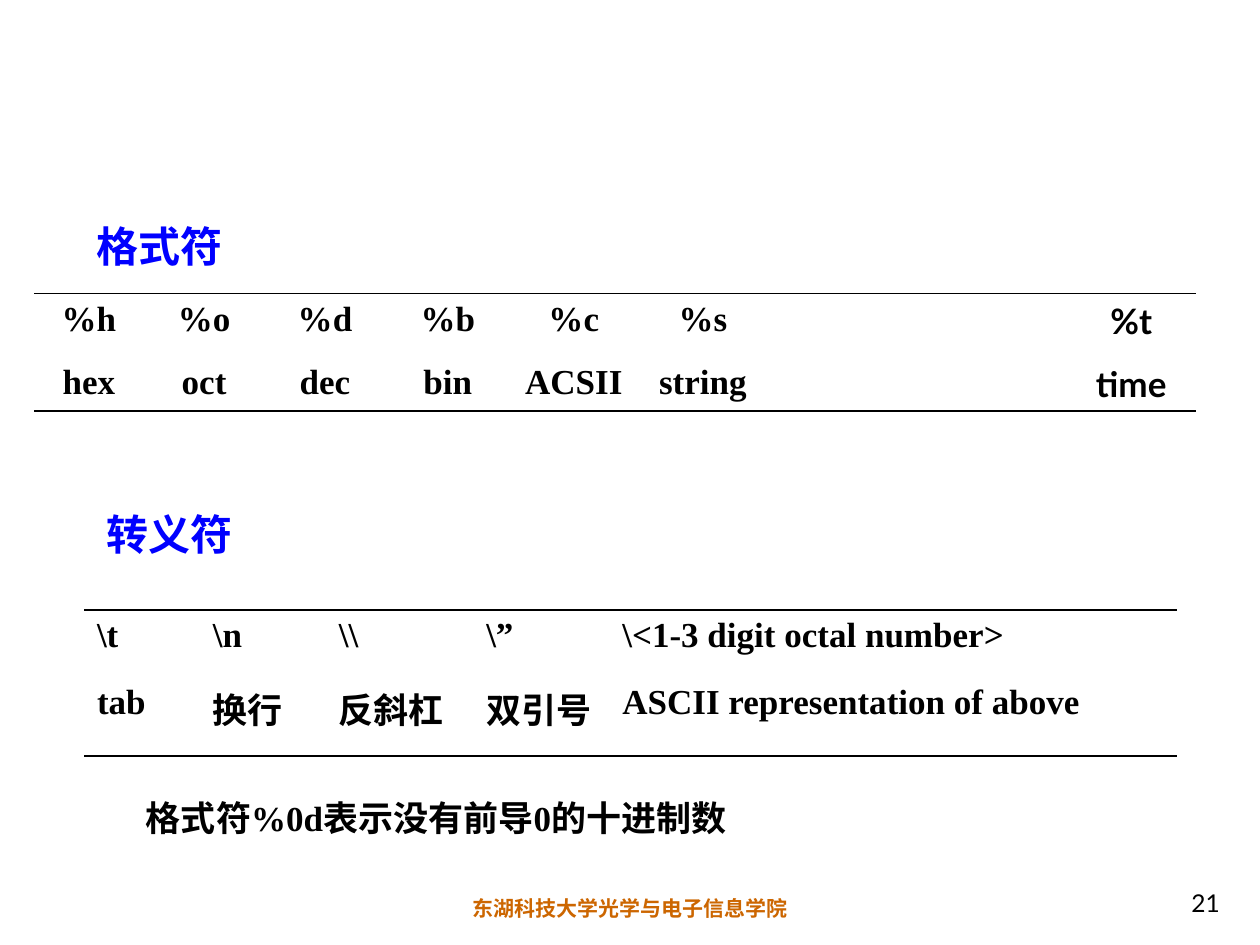
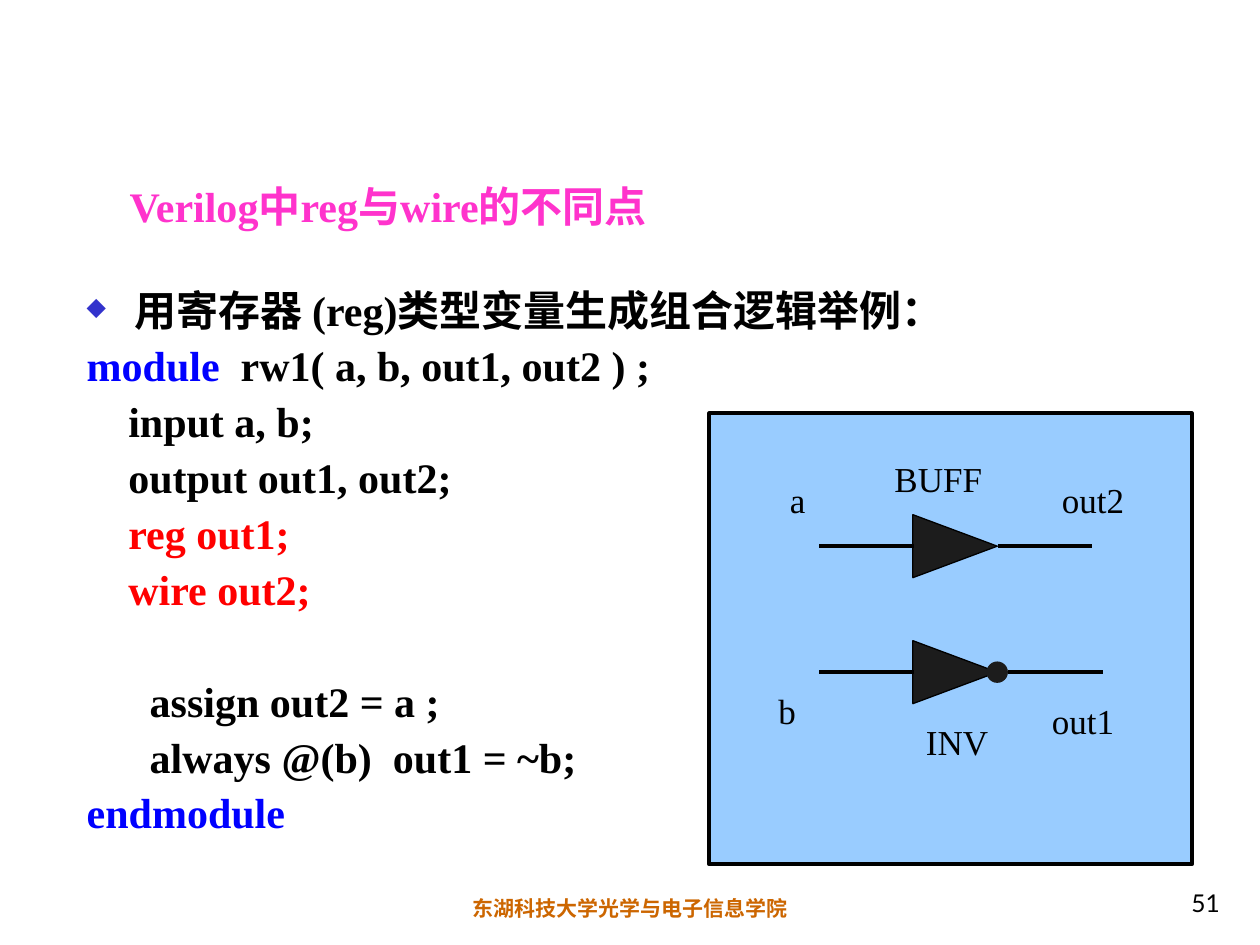
from lxml import etree
from pptx import Presentation
from pptx.dml.color import RGBColor
from pptx.enum.shapes import MSO_CONNECTOR, MSO_SHAPE
from pptx.enum.text import MSO_ANCHOR, PP_ALIGN
from pptx.oxml.ns import qn
from pptx.util import Inches, Pt

LEFT, CENTER, RIGHT = PP_ALIGN.LEFT, PP_ALIGN.CENTER, PP_ALIGN.RIGHT
TOP, BOTTOM = MSO_ANCHOR.TOP, MSO_ANCHOR.BOTTOM
RECTANGLE, OVAL = MSO_SHAPE.RECTANGLE, MSO_SHAPE.OVAL
TRIANGLE = MSO_SHAPE.ISOSCELES_TRIANGLE
STRAIGHT = MSO_CONNECTOR.STRAIGHT

# Shared look
SERIF, SANS = "Times New Roman", "Lato"
BLACK, BLUE, RED, PINK = "000000", "0000FF", "FF0000", "FF33CC"
ORANGE, BULLET_BLUE = "CC6600", "3333CC"
PANEL_BLUE, GATE_GREY = "99CCFF", "1C1C1C"
FOOTER = "东湖科技大学光学与电子信息学院"
PLAIN_TABLE = "{2D5ABB26-0587-4C30-8999-92F81FD0307C}"


def color(hex_text):
    return RGBColor.from_string(hex_text)


# Text
def add_span(para, text, size, hue=BLACK, font=SERIF, bold=True):
    span = para.add_run()
    span.text = text
    span.font.size = Pt(size)
    span.font.name = font
    span.font.bold = bold
    span.font.color.rgb = color(hue)


def add_box(page, left, top, width, height, anchor=TOP):
    box = page.shapes.add_textbox(Inches(left), Inches(top), Inches(width), Inches(height))
    box.text_frame.word_wrap = True
    box.text_frame.vertical_anchor = anchor
    return box.text_frame


def add_text(page, text, place, size, hue=BLACK, font=SERIF, bold=True,
             align=LEFT, anchor=TOP, before=0):
    para = add_box(page, *place, anchor=anchor).paragraphs[0]
    para.alignment = align
    para.space_before = Pt(before)
    add_span(para, text, size, hue, font, bold)


def set_indent(para, margin, first=0):
    properties = para._p.get_or_add_pPr()
    properties.set("marL", str(Inches(margin)))
    properties.set("indent", str(Inches(first)))
    return properties


def add_diamond_bullet(para):
    properties = set_indent(para, 0.38, -0.38)
    bullet_color = etree.SubElement(properties, qn("a:buClr"))
    etree.SubElement(bullet_color, qn("a:srgbClr"), val=BULLET_BLUE)
    etree.SubElement(properties, qn("a:buSzPct"), val="60000")
    etree.SubElement(properties, qn("a:buChar"), char="◆")


def add_page(deck, number):
    page = deck.slides.add_slide(deck.slide_layouts[6])
    add_text(page, FOOTER, (0, 7.06, 10, 0.3), 12, ORANGE, align=CENTER, before=7.5)
    add_text(page, str(number), (7.7, 6.83, 2.08, 0.5), 14, font=SANS, bold=False,
             align=RIGHT, anchor=BOTTOM)
    return page


# Tables
def add_rule(cell, side):
    line = etree.Element(qn(f"a:{side}"), w=str(Pt(1.08)))
    fill = etree.SubElement(line, qn("a:solidFill"))
    etree.SubElement(fill, qn("a:srgbClr"), val=BLACK)
    cell._tc.get_or_add_tcPr().insert(0, line)


def add_symbol_table(page, left, top, widths, heights, rows, align, sans_column=None):
    frame = page.shapes.add_table(len(rows), len(widths), Inches(left), Inches(top),
                                  Inches(sum(widths)), Inches(sum(heights)))
    table = frame.table
    table.first_row = table.horz_banding = False
    table._tbl.tblPr.find(qn("a:tableStyleId")).text = PLAIN_TABLE
    for column, width in zip(table.columns, widths):
        column.width = Inches(width)
    for row_index, (texts, height) in enumerate(zip(rows, heights)):
        table.rows[row_index].height = Inches(height)
        for column_index, text in enumerate(texts):
            cell = table.cell(row_index, column_index)
            cell.fill.background()
            add_rule(cell, "lnB" if row_index else "lnT")
            if text:
                para = cell.text_frame.paragraphs[0]
                para.alignment = align
                para.space_before = Pt(5)
                font = SANS if column_index == sans_column else SERIF
                add_span(para, text, 20, font=font)


# Circuit parts
def add_figure(page, kind, place, fill, line_width=0):
    figure = page.shapes.add_shape(kind, *map(Inches, place))
    figure.shadow.inherit = False
    figure.fill.solid()
    figure.fill.fore_color.rgb = color(fill)
    if line_width:
        figure.line.color.rgb = color(BLACK)
        figure.line.width = Pt(line_width)
    else:
        figure.line.fill.background()
    return figure


def add_wire(page, left, y, length=0.75):
    wire = page.shapes.add_connector(STRAIGHT, Inches(left), Inches(y),
                                     Inches(left + length), Inches(y))
    wire.line.color.rgb = color(BLACK)
    wire.line.width = Pt(2.25)
    etree.SubElement(wire._element.spPr, qn("a:effectLst"))


def add_gate(page, y, inverted):
    triangle = add_figure(page, TRIANGLE, (7.33, y - 0.33, 0.5, 0.67), GATE_GREY, 0.75)
    triangle.rotation = 90
    if inverted:
        add_figure(page, OVAL, (7.83, y - 0.08, 0.17, 0.17), GATE_GREY)
    add_wire(page, 6.5, y)
    add_wire(page, 8 if inverted else 7.92, y)


def add_label(page, text, left, top, width):
    label = add_figure(page, RECTANGLE, (left, top, width, 0.43), PANEL_BLUE)
    label.text_frame.vertical_anchor = TOP
    para = label.text_frame.paragraphs[0]
    para.alignment = LEFT
    para.space_before = Pt(12.5)
    add_span(para, text, 20, bold=False)


# Slides
def build_format_page(deck):
    page = add_page(deck, 21)
    add_text(page, "格式符", (0.67, 1.7, 8.84, 0.5), 24, BLUE, SANS, before=15)
    add_symbol_table(
        page, 0.27, 2.33,
        [0.87, 0.96, 0.96, 0.99, 1.01, 1.04, 1.22, 1.15, 1.02], [0.5, 0.43],
        [["%h", "%o", "%d", "%b", "%c", "%s", "", "", "%t"],
         ["hex", "oct", "dec", "bin", "ACSII", "string", "", "", "time"]],
        CENTER, sans_column=8)
    add_text(page, "转义符", (0.75, 3.99, 2.33, 0.5), 24, BLUE, SANS, before=15)
    add_symbol_table(
        page, 0.67, 4.84, [0.92, 1, 1.17, 1.08, 4.5], [0.53, 0.63],
        [["\\t", "\\n", "\\\\", "\\”", "\\<1-3 digit octal number>"],
         ["tab", "换行", "反斜杠", "双引号", "ASCII representation of above"]],
        LEFT)
    add_text(page, "格式符%0d表示没有前导0的十进制数", (1.06, 6.27, 8.58, 0.44), 20,
             before=12.5)


def build_reg_wire_page(deck):
    page = add_page(deck, 51)
    add_text(page, "Verilog中reg与wire的不同点", (0.93, 1.07, 7.94, 0.81), 24, PINK,
             anchor=BOTTOM)

    # Code listing: indent, space before, spans
    code_lines = [
        (None, 6, [("用寄存器 (reg)类型变量生成组合逻辑举例：", BLACK)]),
        (0, 6, [("module ", BLUE), (" rw1( a, b, out1, out2 ) ;", BLACK)]),
        (0.33, 6, [("input a, b;", BLACK)]),
        (0.33, 6, [("output out1, out2;", BLACK)]),
        (0.33, 6, [("reg out1;", RED)]),
        (0.33, 6, [("wire out2;", RED)]),
        (0.5, 38, [("assign out2 = a ;", BLACK)]),
        (0.5, 6, [("always @(b)  out1 = ~b;", BLACK)]),
        (0, 6, [("endmodule", BLUE)]),
    ]
    frame = add_box(page, 0.59, 2.25, 8.5, 4.81)
    for index, (indent, before, spans) in enumerate(code_lines):
        para = frame.add_paragraph() if index else frame.paragraphs[0]
        para.line_spacing = 0.9
        para.space_before = Pt(before)
        if indent is None:
            add_diamond_bullet(para)
        else:
            set_indent(para, indent)
        for text, hue in spans:
            add_span(para, text, 24, hue)

    # Circuit
    add_figure(page, RECTANGLE, (5.63, 3.28, 3.83, 3.58), PANEL_BLUE, 2.25)
    add_gate(page, 4.33, inverted=False)
    add_gate(page, 5.33, inverted=True)
    for label in [("a", 6.17, 3.75, 0.42), ("out2", 8.33, 3.75, 1),
                  ("BUFF", 7, 3.58, 1.08), ("b", 6.08, 5.42, 0.5),
                  ("INV", 7.25, 5.67, 0.75), ("out1", 8.25, 5.5, 1)]:
        add_label(page, *label)


def main():
    deck = Presentation()
    deck.slide_width, deck.slide_height = Inches(10), Inches(7.5)
    build_format_page(deck)
    build_reg_wire_page(deck)
    deck.save("out.pptx")


if __name__ == "__main__":
    main()
